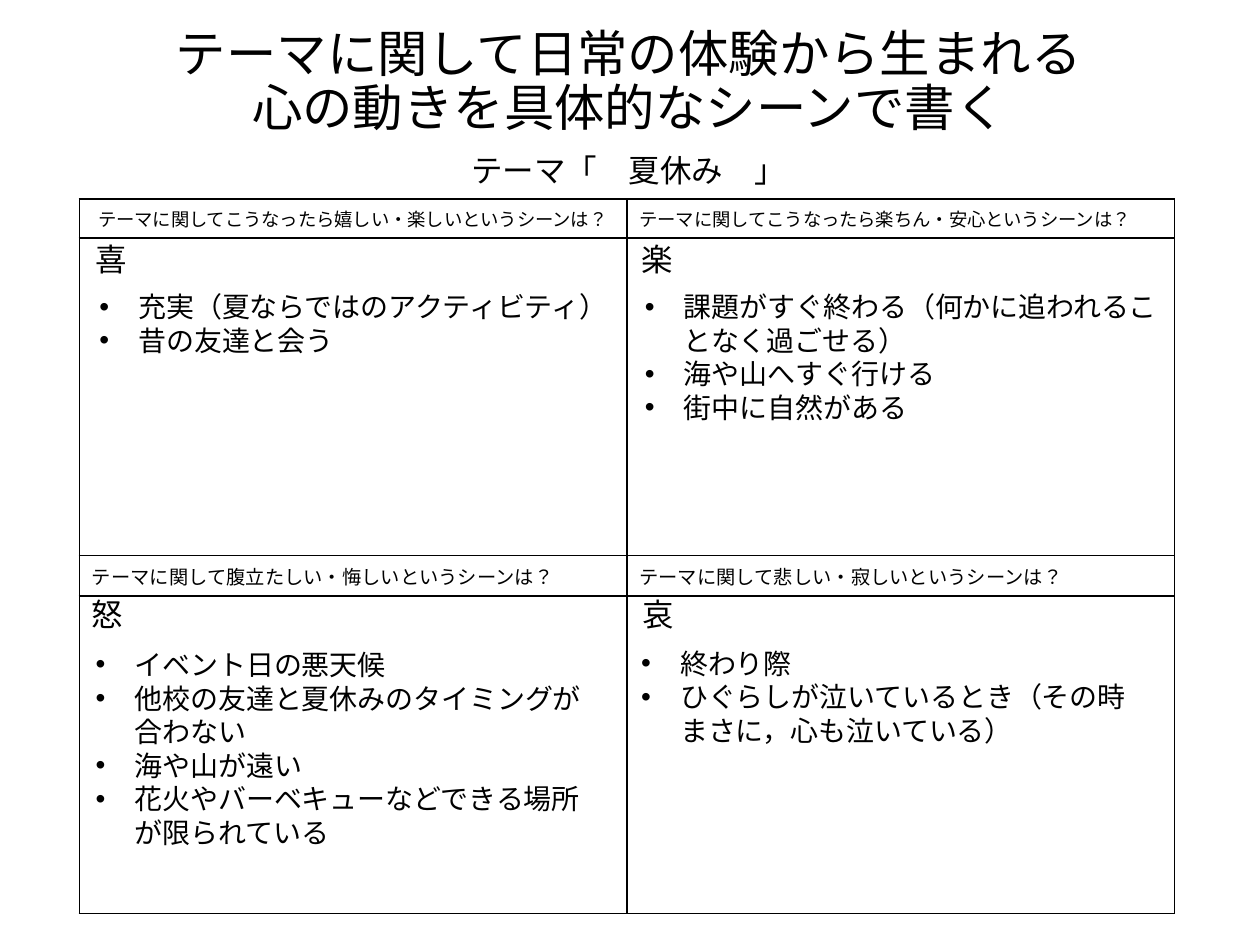
from lxml.etree import SubElement
from pptx import Presentation
from pptx.dml.color import RGBColor
from pptx.enum.lang import MSO_LANGUAGE_ID
from pptx.enum.text import MSO_ANCHOR, MSO_AUTO_SIZE, PP_ALIGN
from pptx.oxml.ns import qn
from pptx.util import Inches, Pt

BLACK = RGBColor(0x00, 0x00, 0x00)
FONT = "Noto Sans CJK JP"

TITLE = ["テーマに関して日常の体験から生まれる", "心の動きを具体的なシーンで書く"]
THEME = "テーマ「　夏休み　」"
QUESTIONS = [
    ["テーマに関してこうなったら嬉しい・楽しいというシーンは？",
     "テーマに関してこうなったら楽ちん・安心というシーンは？"],
    ["テーマに関して腹立たしい・悔しいというシーンは？",
     "テーマに関して悲しい・寂しいというシーンは？"],
]
QUESTION_SIZES = [10.5, 11]
ROW_HEIGHTS = [0.31, 2.52, 0.32, 2.52]
EMOTIONS = [
    ("喜", 0.66, 1.86), ("怒", 0.63, 4.67),
    ("楽", 4.99, 1.86), ("哀", 5, 4.67),
]
SCENES = [
    ((0.69, 2.25, 4.33, 0.91), False,
     ["充実（夏ならではのアクティビティ）", "昔の友達と会う"]),
    ((5.02, 2.25, 4.28, 1.45), True,
     ["課題がすぐ終わる（何かに追われることなく過ごせる）",
      "海や山へすぐ行ける", "街中に自然がある"]),
    ((0.66, 5.09, 4.22, 1.72), True,
     ["イベント日の悪天候", "他校の友達と夏休みのタイミングが合わない",
      "海や山が遠い", "花火やバーベキューなどできる場所が限られている"]),
    ((4.99, 5.08, 4.15, 0.91), True,
     ["終わり際", "ひぐらしが泣いているとき（その時まさに，心も泣いている）"]),
]


def set_attrs(obj, values):
    """Set each named value on an object."""
    for name, value in values.items():
        setattr(obj, name, value)


def add_text(p, text, size, **layout):
    """Put one formatted run in a paragraph."""
    set_attrs(p, layout)
    r = p.add_run()
    r.text = text
    r.font.color.rgb = BLACK
    set_attrs(r.font, {"size": Pt(size), "name": FONT,
                       "language_id": MSO_LANGUAGE_ID.JAPANESE})
    SubElement(r.font._element, qn("a:ea"), typeface=FONT)


def add_bullet(p):
    """Give a paragraph a hanging round bullet."""
    pPr = p._p.get_or_add_pPr()
    pPr.set("marL", str(Inches(0.31)))
    pPr.set("indent", str(-Inches(0.31)))
    SubElement(pPr, qn("a:buFont"), typeface="Arial")
    SubElement(pPr, qn("a:buChar"), char="•")


def add_box(s, place, **frame):
    """Add a text box and return its text frame."""
    tf = s.shapes.add_textbox(*map(Inches, place)).text_frame
    set_attrs(tf, frame)
    return tf


def add_title(s):
    """Add the two title lines and the theme below them."""
    tf = add_box(s, (0.68, 0.21, 8.62, 1.31), word_wrap=True,
                 vertical_anchor=MSO_ANCHOR.MIDDLE)
    layout = {"alignment": PP_ALIGN.CENTER, "line_spacing": 0.9}
    add_text(tf.paragraphs[0], TITLE[0], 28.8, **layout)
    add_text(tf.add_paragraph(), TITLE[1], 28.8, **layout)
    add_text(tf.add_paragraph(), THEME, 18, space_before=Pt(10), **layout)


def add_borders(cell):
    """Draw thin black lines on all sides of a cell."""
    tcPr = cell._tc.get_or_add_tcPr()
    for side in ("a:lnL", "a:lnR", "a:lnT", "a:lnB"):
        ln = SubElement(tcPr, qn(side), w=str(Pt(1)))
        fill = SubElement(ln, qn("a:solidFill"))
        SubElement(fill, qn("a:srgbClr"), val=str(BLACK))


def add_grid(s):
    """Add the table of questions with an empty answer row under each."""
    place = (0.63, 1.58, 8.69, sum(ROW_HEIGHTS))
    table = s.shapes.add_table(4, 2, *map(Inches, place)).table
    set_attrs(table, {"first_row": False, "horz_banding": False})
    for row, height in zip(table.rows, ROW_HEIGHTS):
        row.height = Inches(height)
    for cell in table.iter_cells():
        add_borders(cell)
        cell.fill.background()
    for i, (questions, size) in enumerate(zip(QUESTIONS, QUESTION_SIZES)):
        for j, question in enumerate(questions):
            align = PP_ALIGN.LEFT if i or j else PP_ALIGN.CENTER
            p = table.cell(2 * i, j).text_frame.paragraphs[0]
            add_text(p, question, size, alignment=align)


def add_emotion(s, text, left, top):
    """Add the large character that names a quadrant."""
    tf = add_box(s, (left, top, 0.45, 0.4), word_wrap=False,
                 auto_size=MSO_AUTO_SIZE.SHAPE_TO_FIT_TEXT)
    add_text(tf.paragraphs[0], text, 18)


def add_scenes(s, place, wrap, items):
    """Add the bulleted scenes of a quadrant."""
    tf = add_box(s, place, word_wrap=wrap,
                 auto_size=MSO_AUTO_SIZE.SHAPE_TO_FIT_TEXT)
    for i, item in enumerate(items):
        p = tf.add_paragraph() if i else tf.paragraphs[0]
        add_text(p, item, 16)
        add_bullet(p)


def main():
    """Build the slide and save it."""
    prs = Presentation()
    set_attrs(prs, {"slide_width": Inches(10), "slide_height": Inches(7.5)})
    s = prs.slides.add_slide(prs.slide_layouts[6])
    add_title(s)
    add_grid(s)
    for emotion in EMOTIONS:
        add_emotion(s, *emotion)
    for scenes in SCENES:
        add_scenes(s, *scenes)
    prs.save("out.pptx")


if __name__ == "__main__":
    main()
